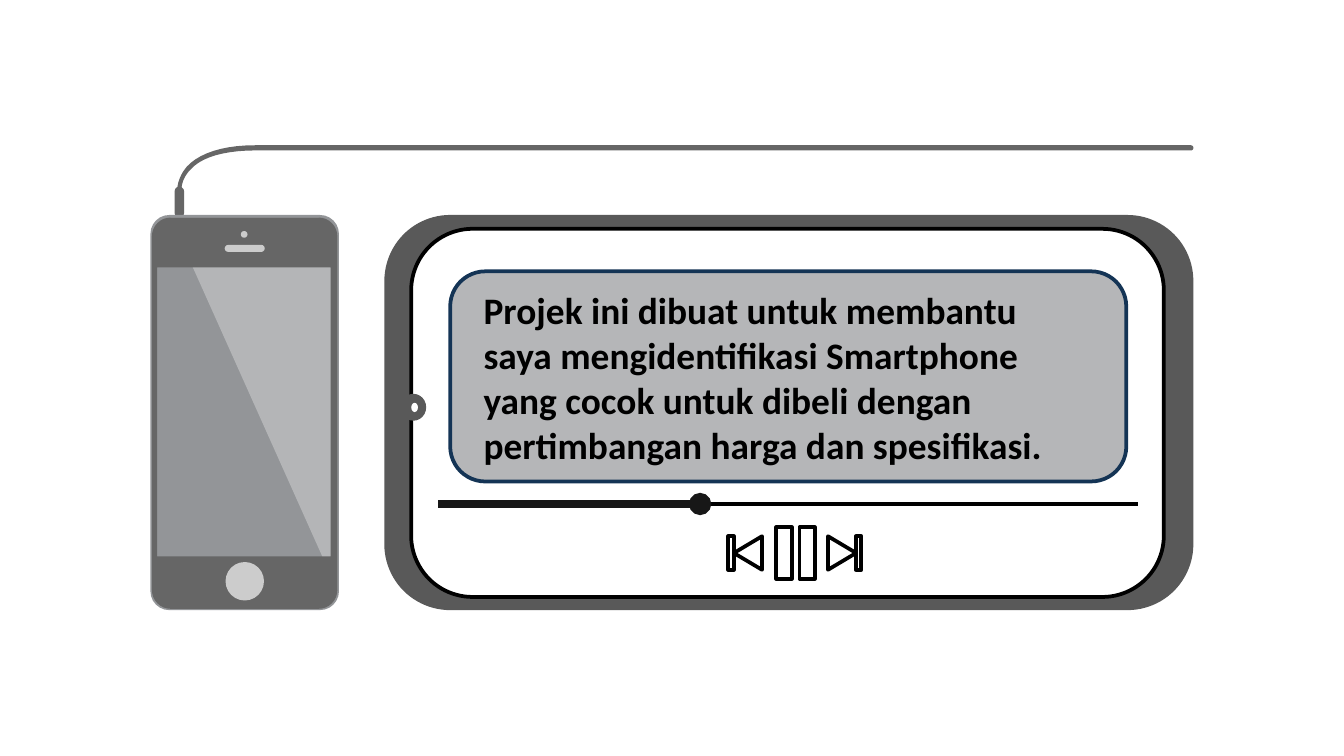
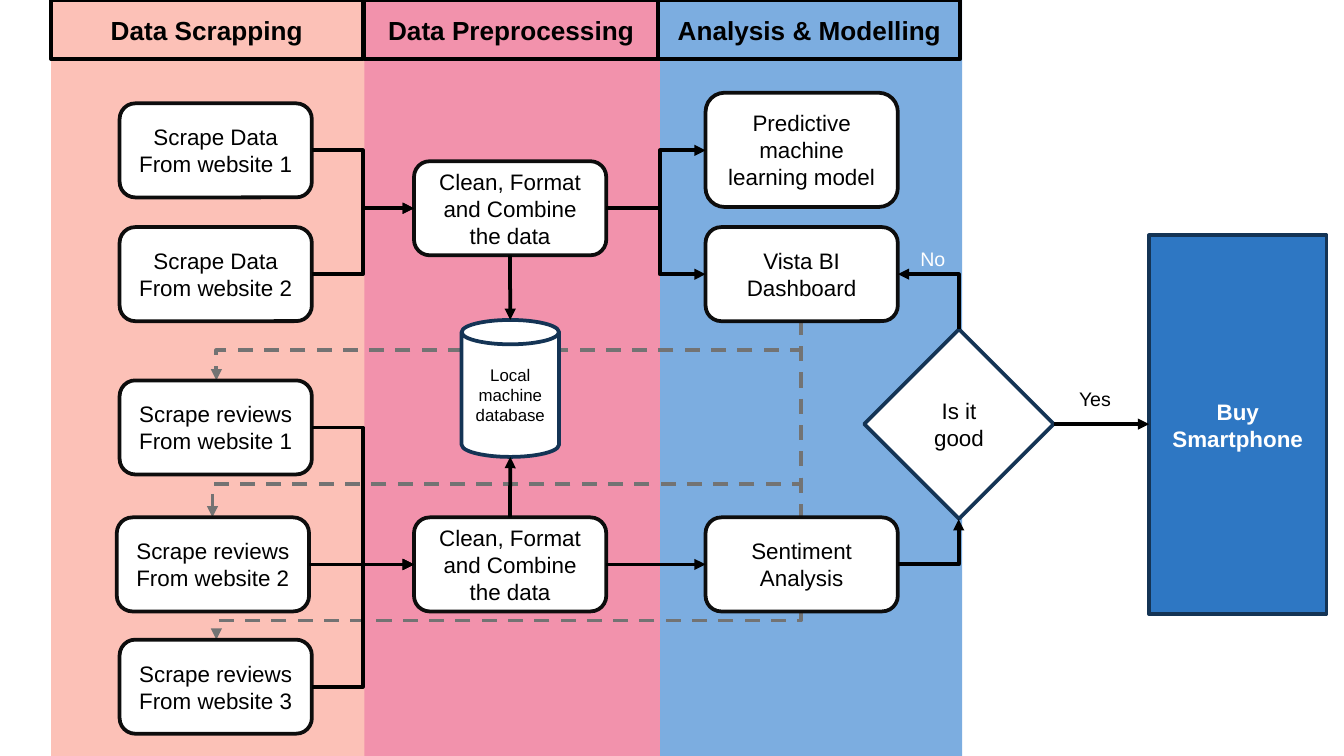
from lxml.etree import SubElement
from pptx import Presentation
from pptx.dml.color import RGBColor
from pptx.enum.dml import MSO_LINE
from pptx.enum.shapes import MSO_CONNECTOR, MSO_SHAPE
from pptx.enum.text import MSO_ANCHOR, PP_ALIGN
from pptx.oxml import parse_xml
from pptx.oxml.ns import nsdecls, qn
from pptx.util import Pt
from math import cos, pi, sin

COLORS = {
    "white": "FFFFFF", "black": "000000", "ink": "0D0D0D", "knob": "171717",
    "navy": "143455", "body": "666666", "case": "939598", "detail": "CCCCCC",
    "bezel": "595959", "panel": "B5B6B8", "dash": "737373", "buy": "2E77C3",
    "scrape": "FCC1B7", "prepare": "F292AC", "model": "7CADE0",
}
WIDTH, HEIGHT = 720, 405
STEP_W, STEP_H = 103, 50.4
SCRAPE_X, PREPARE_X, MODEL_X = 64.1, 221.8, 378
TOP_Y, CLEAN_Y, SECOND_Y, REVIEW_Y, LOWER_Y, LAST_Y = 55.4, 86.4, 121.7, 203.8, 277.2, 342.7


def color(name):
    return RGBColor.from_string(COLORS[name])


def paint(shape, fill, line=None):
    shape.shadow.inherit = False
    shape.fill.solid()
    shape.fill.fore_color.rgb = color(fill)
    if line:
        shape.line.color.rgb = color(line)
        shape.line.width = Pt(2)
    else:
        shape.line.fill.background()
    return shape


def add_block(page, kind, left, top, width, height, fill, line=None, rotation=0):
    shape = page.shapes.add_shape(kind, Pt(left), Pt(top), Pt(width), Pt(height))
    shape.rotation = rotation
    return paint(shape, fill, line)


def write(shape, text, size, tint="black", bold=False, font="Arial", align=PP_ALIGN.CENTER):
    frame = shape.text_frame
    frame.word_wrap = True
    frame.text = text
    for para in frame.paragraphs:
        para.alignment = align
        for span in para.runs:
            span.font.name = font
            span.font.size = Pt(size)
            span.font.bold = bold
            span.font.color.rgb = color(tint)
    return frame


def add_node(page, kind, left, top, width, height, text, size=12,
             fill="white", line="ink", tint="black", bold=False):
    shape = add_block(page, kind, left, top, width, height, fill, line)
    write(shape, text, size, tint, bold).vertical_anchor = MSO_ANCHOR.MIDDLE


def add_step(page, left, top, text, height=STEP_H):
    add_node(page, MSO_SHAPE.ROUNDED_RECTANGLE, left, top, STEP_W, height, text)


def add_label(page, left, top, text, tint):
    box = page.shapes.add_textbox(Pt(left), Pt(top), Pt(33), Pt(20))
    write(box, text, 10.5, tint, align=PP_ALIGN.LEFT).word_wrap = False


def add_outline(page, contours, fill):
    first, *rest = [[(Pt(x), Pt(y)) for x, y in contour] for contour in contours]
    builder = page.shapes.build_freeform(*first[0], scale=1.0)
    builder.add_line_segments(first[1:], close=True)
    for contour in rest:
        builder.move_to(*contour[0])
        builder.add_line_segments(contour[1:], close=True)
    return paint(builder.convert_to_shape(), fill)


def curve(start, pull, push, end, steps=10):
    points = []
    for step in range(steps + 1):
        t = step / steps
        weights = ((1 - t) ** 3, 3 * t * (1 - t) ** 2, 3 * t * t * (1 - t), t ** 3)
        points.append(tuple(
            sum(weight * value for weight, value in zip(weights, values))
            for values in zip(start, pull, push, end)))
    return points


def rounded(left, top, right, bottom, radius, steps=8):
    centers = [(right - radius, bottom - radius), (left + radius, bottom - radius),
               (left + radius, top + radius), (right - radius, top + radius)]
    return [(x + radius * cos(angle), y + radius * sin(angle))
            for corner, (x, y) in enumerate(centers)
            for angle in [(corner + step / steps) * pi / 2 for step in range(steps + 1)]]


def add_line(page, start, end, kind=MSO_CONNECTOR.STRAIGHT, tint="black",
             width=2, tail="triangle", dashed=False):
    line = page.shapes.add_connector(kind, *(Pt(value) for value in (*start, *end)))
    line.line.color.rgb = color(tint)
    line.line.width = Pt(width)
    if dashed:
        line.line.dash_style = MSO_LINE.DASH
    properties = line._element.spPr
    if tail:
        SubElement(properties.find(qn("a:ln")), qn("a:tailEnd"), type=tail)
    SubElement(properties, qn("a:effectLst"))
    return line


def add_elbow(page, start, end, bend=0.5, upright=False, corner=False, **style):
    rising = end[1] < start[1]
    if upright:
        x, y = (start[0] + end[0]) / 2, (start[1] + end[1]) / 2
        across, down = abs(end[1] - start[1]) / 2, abs(end[0] - start[0]) / 2
        if rising:
            down = -down
        start, end = (x - across, y - down), (x + across, y + down)
    line = add_line(page, start, end, MSO_CONNECTOR.ELBOW, **style)
    properties = line._element.spPr
    if upright:
        properties.find(qn("a:xfrm")).set("rot", str((270 if rising else 90) * 60000))
    geometry = properties.find(qn("a:prstGeom"))
    if corner:
        geometry.set("prst", "bentConnector2")
    else:
        guides = geometry.find(qn("a:avLst"))
        if guides is None:
            guides = SubElement(geometry, qn("a:avLst"))
        SubElement(guides, qn("a:gd"), name="adj1", fmla=f"val {round(bend * 100000)}")


def draw_phone(page):
    pill, dot = MSO_SHAPE.ROUNDED_RECTANGLE, MSO_SHAPE.OVAL
    add_block(page, pill, 93.5, 100, 5.2, 16.6, "body").adjustments[0] = 0.5
    cable = [
        *curve((136.8, 77.8), (119.5, 77.8), (106.6, 82.1), (100.1, 89.3)),
        *curve((100.1, 89.3), (95.8, 94.3), (95, 99.4), (95, 101.5)),
        (95.6, 103), (96.7, 103),
        *curve((97.2, 102.2), (97.2, 99.4), (97.9, 95), (102.2, 90.7)),
        *curve((102.2, 90.7), (108, 84.2), (120.2, 80.6), (136.8, 80.6)),
        *curve((637.9, 80.6), (639.8, 80.6), (639.8, 77.8), (637.9, 77.8)),
    ]
    add_outline(page, [cable], "body")
    add_block(page, pill, 80.6, 115.2, 101, 211.7, "case").adjustments[0] = 0.1
    glare = add_outline(
        page, [[(91.4, 116.6), (180.7, 316), (180.7, 126.7), (170.6, 116.6)]], "white")
    tint = glare.fill._xPr.find(qn("a:solidFill"))[0]
    SubElement(tint, qn("a:alpha"), val="31000")
    screen = [(177.1, 143.3), (177.1, 298.1), (84.2, 298.1), (84.2, 143.3)]
    add_outline(page, [screen, rounded(81.4, 116.6, 180.7, 326.2, 10)], "body")
    add_block(page, pill, 120.4, 131.2, 21.5, 3.8, "detail").adjustments[0] = 0.5
    add_block(page, dot, 129, 123.8, 3.6, 3.6, "detail")
    add_block(page, dot, 120.8, 301.1, 20.6, 20.6, "detail")


def draw_player(page):
    panel, dot, bar = MSO_SHAPE.ROUNDED_RECTANGLE, MSO_SHAPE.OVAL, MSO_SHAPE.RECTANGLE
    add_block(page, panel, 205.9, 115.2, 433.4, 211.7, "bezel")
    add_block(page, panel, 220.3, 122.6, 403.2, 197.2, "white", "black")
    add_block(page, dot, 214.6, 211, 13.7, 14.4, "bezel")
    add_block(page, dot, 220.3, 215.8, 3.6, 5, "white")
    add_block(page, panel, 241.2, 145.4, 362.2, 112.6, "panel", "navy")

    box = page.shapes.add_textbox(Pt(252), Pt(150.5), Pt(340.6), Pt(104.4))
    frame = write(
        box, "Projek ini dibuat untuk membantu saya mengidentifikasi Smartphone "
        "yang cocok untuk dibeli dengan pertimbangan harga dan spesifikasi.",
        20, bold=True, font="Calibri", align=PP_ALIGN.LEFT)
    stroke = parse_xml(
        f'<a:ln {nsdecls("a")} w="9525"><a:solidFill>'
        f'<a:srgbClr val="{COLORS["black"]}"/></a:solidFill></a:ln>')
    frame.paragraphs[0].runs[0]._r.get_or_add_rPr().insert(0, stroke)

    add_block(page, MSO_SHAPE.MATH_EQUAL, 407.5, 278.6, 37.4, 35.3, "white", "black", 270)
    for triangle_x, bar_x, turn in ((442.1, 458.6, 90), (391.7, 390.2, 270)):
        add_block(page, MSO_SHAPE.ISOSCELES_TRIANGLE, triangle_x, 288.7, 18, 15.1,
                  "white", "black", turn)
        add_block(page, bar, bar_x, 287.3, 2.9, 18, "white", "black")
    add_line(page, (234.7, 270), (609.8, 270), tail=None)
    add_line(page, (234.7, 270), (375.1, 270), tint="knob", width=4, tail="oval")


def draw_stages(page):
    stages = [("Data Scrapping", 27.4, 167.8, "scrape"),
              ("Data Preprocessing", 195.1, 158.4, "prepare"),
              ("Analysis & Modelling", 352.8, 162.7, "model")]
    for title, left, width, fill in reversed(stages):
        add_block(page, MSO_SHAPE.RECTANGLE, left, 0, width, HEIGHT, fill)
    for title, left, width, fill in stages:
        add_node(page, MSO_SHAPE.RECTANGLE, left, 0, width - 1, 31.7, title, 14,
                 fill, "black", bold=True)


def draw_steps(page):
    for top, text in ((TOP_Y, "Scrape Data\nFrom website 1"),
                      (SECOND_Y, "Scrape Data\nFrom website 2"),
                      (REVIEW_Y, "Scrape reviews\nFrom website 1"),
                      (LAST_Y, "Scrape reviews\nFrom website 3")):
        add_step(page, SCRAPE_X, top, text)
    add_step(page, 62.6, LOWER_Y, "Scrape reviews\nFrom website 2")
    for top in (CLEAN_Y, LOWER_Y):
        add_step(page, PREPARE_X, top, "Clean, Format and Combine the data")
    add_step(page, MODEL_X, 49.7, "Predictive machine learning model", 61.2)
    add_step(page, MODEL_X, SECOND_Y, "Vista BI Dashboard")
    add_step(page, MODEL_X, LOWER_Y, "Sentiment Analysis")
    add_node(page, MSO_SHAPE.DIAMOND, 463, 176.4, 101.5, 101.5, "Is it good", line="navy")
    add_node(page, MSO_SHAPE.RECTANGLE, 615.6, 126, 95, 203, "Buy Smartphone",
             fill="buy", line="navy", tint="white", bold=True)
    add_node(page, MSO_SHAPE.CAN, 247.3, 171.4, 52.2, 73.4, "Local machine database",
             9, line="navy")


def draw_feedback(page):
    for end, bend in (((113.8, LOWER_Y), 0.83), ((115.9, LAST_Y), 0.94),
                      ((115.9, REVIEW_Y), 0.5)):
        add_elbow(page, (429.1, 171.4), end, bend, upright=True, tint="dash", dashed=True)


def draw_flow(page):
    middle = STEP_H / 2
    scrape_end, prepare_end = SCRAPE_X + STEP_W, PREPARE_X + STEP_W
    upper, lower = CLEAN_Y + middle, LOWER_Y + middle
    for top, target in ((TOP_Y, upper), (SECOND_Y, upper), (REVIEW_Y, lower), (LAST_Y, lower)):
        add_elbow(page, (scrape_end, top + middle), (PREPARE_X, target))
    add_line(page, (165.6, lower), (PREPARE_X, lower))
    for top in (TOP_Y, SECOND_Y):
        add_elbow(page, (prepare_end, upper), (MODEL_X, top + middle), 0.54)
    add_line(page, (prepare_end, lower), (MODEL_X, lower))
    add_line(page, (273.2, CLEAN_Y + STEP_H), (273.4, 171.4))
    add_line(page, (273.2, LOWER_Y), (273.4, 244.8))
    add_elbow(page, (MODEL_X + STEP_W, lower), (513.6, 278.2), corner=True)
    add_elbow(page, (513.6, 176.4), (MODEL_X + STEP_W, SECOND_Y + middle),
              upright=True, corner=True)
    add_line(page, (564.5, 227.2), (615.6, 227.2))
    add_label(page, 571, 203.8, "Yes", "black")
    add_label(page, 486, 128.9, "No", "white")


def main():
    deck = Presentation()
    deck.slide_width, deck.slide_height = Pt(WIDTH), Pt(HEIGHT)
    blank = deck.slide_layouts[6]
    for drawings in ((draw_phone, draw_player),
                     (draw_stages, draw_feedback, draw_steps, draw_flow)):
        page = deck.slides.add_slide(blank)
        for draw in drawings:
            draw(page)
    deck.save("out.pptx")


if __name__ == "__main__":
    main()
